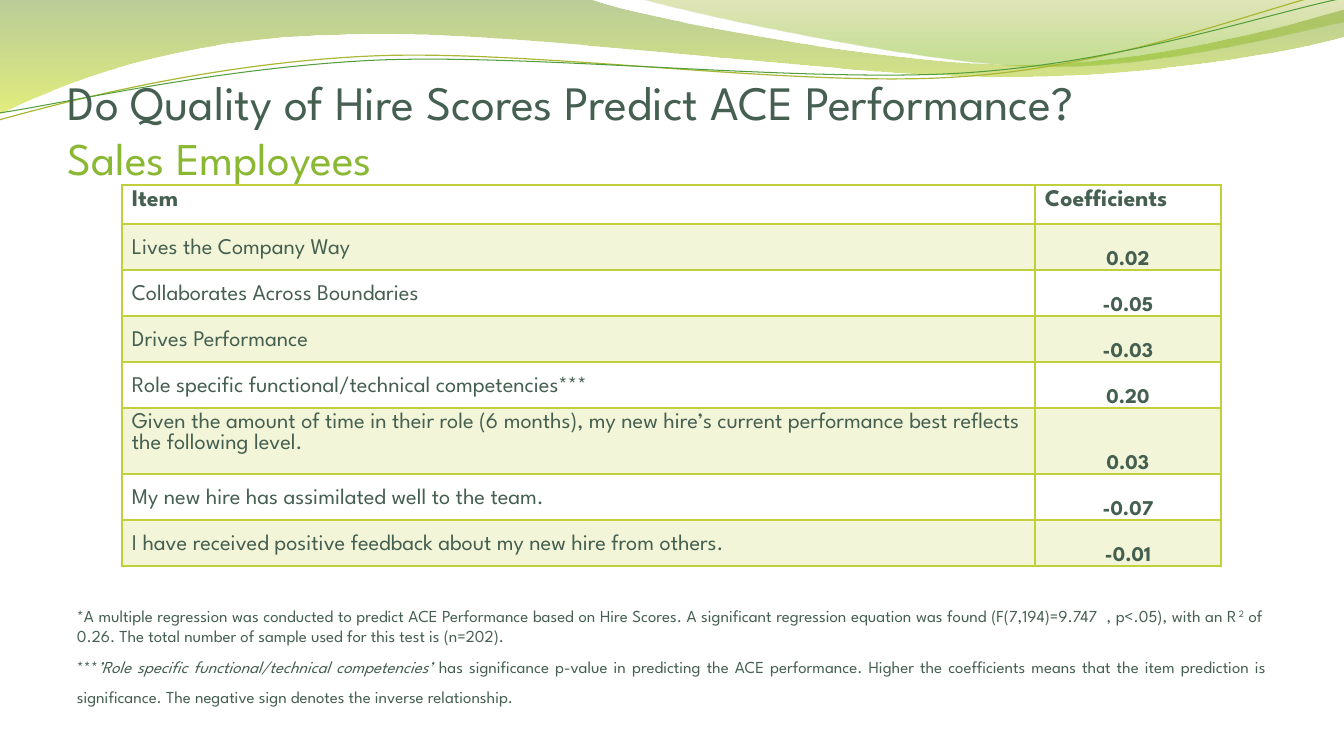
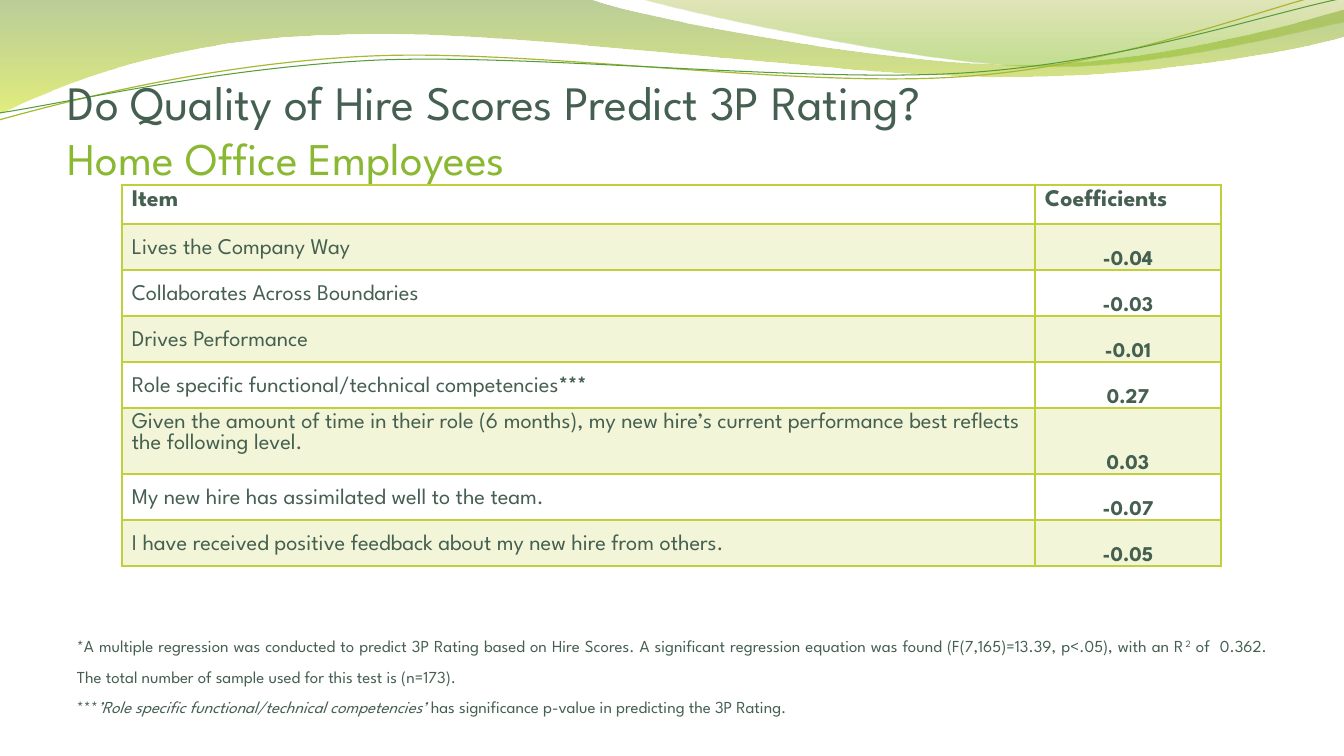
from lxml import etree
from pptx import Presentation
from pptx.dml.color import RGBColor
from pptx.enum.text import MSO_ANCHOR as Anchor, PP_ALIGN as Align
from pptx.oxml.ns import qn
from pptx.util import Emu, Pt

WIDTH, HEIGHT = 1344, 756
SCALE = 12192000 / WIDTH
FONT = "League Spartan"
INK, ACCENT, LIME = "455F51", "8AB833", "C0CF3A"

# Waves: start point, then steps of one point (line) or three points (curve).
BANDS = [
    {"start": (0, 0),
     "steps": [[(592, 0)],
               [(639, 18), (891, 65), (1019, 65)],
               [(1146, 65), (1287, 27), (1344, 10)],
               [(1345, 37)],
               [(1321, 45), (1168, 78), (1002, 77)],
               [(836, 77), (513, 29), (346, 35)],
               [(173, 37), (61, 85), (-2, 115)]],
     "stops": [(0, "69921C", 45), (1, "CCE10F", 55)]},
    {"start": (643, 0),
     "steps": [[(684, 12), (916, 63), (1033, 66)],
               [(1149, 70), (1292, 33), (1344, 22)],
               [(1344, 0)]],
     "stops": [(0, "9BAA1A", 30), (0.8, "81BA16", 45)]},
]
STRANDS = [
    {"start": (-1, 120),
     "steps": [[(64, 102), (212, 63), (372, 56)],
               [(531, 49), (795, 88), (957, 77)],
               [(1119, 67), (1261, 8), (1341, -10)]],
     "line": ("A9B733", 0.85)},
    {"start": (-1, 113),
     "steps": [[(62, 104), (220, 67), (380, 60)],
               [(541, 54), (802, 83), (963, 73)],
               [(1123, 63), (1265, 14), (1344, -2)]],
     "line": ("549E39", 0.75)},
]

HEADER = ("Item", "Coefficients")
STARS = "***"
LONG_ITEM = ("Given the amount of time in their role (6 months), my new hire’s "
             "current performance best reflects the following level.")
ITEMS = [
    "Lives the Company Way",
    "Collaborates Across Boundaries",
    "Drives Performance",
    "Role specific functional/technical competencies" + STARS,
    LONG_ITEM,
    "My new hire has assimilated well to the team.",
    "I have received positive feedback about my new hire from others.",
]
ROLE_NOTE = [(STARS, {}),
             ("’Role specific functional/technical competencies’ ", {"italic": True})]
SUPER = {"superscript": True}
SINGLE, WIDE = 1.0, 1.5

SLIDES = [
    {"title": "Do Quality of Hire Scores Predict ACE Performance?",
     "group": "Sales Employees",
     "values": ["0.02", "-0.05", "-0.03", "0.20", "0.03", "-0.07", "-0.01"],
     "bold_stars": False,
     "notes_top": 601,
     "notes": [
         (SINGLE, [("*A multiple regression was conducted to predict ACE Performance "
                    "based on Hire Scores. A significant regression equation was found "
                    "(F(7,194)=9.747  , p<.05), with an R", {}),
                   ("2", SUPER),
                   (" of  0.26. The total number of sample used for this test is "
                    "(n=202).", {})]),
         (WIDE, ROLE_NOTE + [
             ("has significance p-value in predicting the ACE performance. Higher the "
              "coefficients means that the item prediction is significance. The "
              "negative sign denotes the inverse relationship.", {})])]},
    {"title": "Do Quality of Hire Scores Predict 3P Rating?",
     "group": "Home Office Employees",
     "values": ["-0.04", "-0.03", "-0.01", "0.27", "0.03", "-0.07", "-0.05"],
     "bold_stars": True,
     "notes_top": 621,
     "notes": [
         (WIDE, [("*A multiple regression was conducted to predict 3P Rating based on "
                  "Hire Scores. A significant regression equation was found "
                  "(F(7,165)=13.39, p<.05), with an R", {}),
                 ("2", SUPER),
                 (" of  0.362. The total number of sample used for this test is "
                  "(n=173).", {})]),
         (WIDE, ROLE_NOTE + [
             ("has significance p-value in predicting the 3P Rating.", {})])]},
]

TITLE_BOX = (68, 58, 1210, 127)
TABLE_LEFT, TABLE_TOP = 122, 185
COLUMNS = (913, 186)
ROWS = [39] + [66 if item == LONG_ITEM else 46 for item in ITEMS]
NOTES_LEFT, NOTES_WIDTH = 67, 1210
HEADER_MARGINS, ITEM_MARGINS, VALUE_MARGINS = (10, 5, 10, 5), (10, 5, 10, 0), (1, 1, 1, 0)


def px(length):
    """Turn pixels into EMU."""
    return Emu(round(length * SCALE))


def rgb(code):
    """Turn a hex string into a colour."""
    return RGBColor.from_string(code)


def set_alpha(color_parent, percents):
    """Set the opacity of each colour found below an element, in order."""
    for color, percent in zip(color_parent.iter(qn("a:srgbClr")), percents):
        etree.SubElement(color, qn("a:alpha"), val=str(percent * 1000))


def set_margins(target, margins):
    """Set left, top, right and bottom insets of a cell or text frame."""
    for side, size in zip(("left", "top", "right", "bottom"), margins):
        setattr(target, f"margin_{side}", px(size))


def add_span(para, text, size, color=INK, superscript=False, **style):
    """Append a formatted run to a paragraph."""
    span = para.add_run()
    span.text = text
    for name, value in {"name": FONT, "size": Pt(size), **style}.items():
        setattr(span.font, name, value)
    span.font.color.rgb = rgb(color)
    if superscript:
        span.font._element.set("baseline", "30000")


def add_frame(page, left, top, width, height):
    """Add a wrapping text box and return its text frame."""
    frame = page.shapes.add_textbox(*map(px, (left, top, width, height))).text_frame
    frame.word_wrap = True
    return frame


def bend(wave, steps):
    """Join the line segments of each three-point step into one cubic curve."""
    segments = iter(list(wave._element.spPr.iter(qn("a:lnTo"))))
    for step in steps:
        group = [next(segments) for _ in step]
        if len(group) == 3:
            curve = etree.Element(qn("a:cubicBezTo"))
            group[0].addprevious(curve)
            for segment in group:
                curve.append(segment[0])
                segment.getparent().remove(segment)


def add_wave(page, start, steps, stops=None, line=None):
    """Draw a gradient band or a thin strand."""
    first, *rest = [(px(x), px(y)) for x, y in [start, *sum(steps, [])]]
    builder = page.shapes.build_freeform(*first)
    builder.add_line_segments(rest, close=stops is not None)
    wave = builder.convert_to_shape()
    bend(wave, steps)
    wave.shadow.inherit = False
    if stops:
        wave.line.fill.background()
        wave.fill.gradient()
        wave.fill.gradient_angle = 270
        for stop, (position, color, _) in zip(wave.fill.gradient_stops, stops):
            stop.position = position
            stop.color.rgb = rgb(color)
        set_alpha(wave._element.spPr, [opacity for *_, opacity in stops])
    else:
        wave.fill.background()
        wave.line.color.rgb = rgb(line[0])
        wave.line.width = Pt(line[1])


def add_title(page, title, group):
    """Write the title with the employee group on its second line."""
    frame = add_frame(page, *TITLE_BOX)
    frame.vertical_anchor = Anchor.BOTTOM
    set_margins(frame, (0, 5, 0, 0))
    para = frame.paragraphs[0]
    add_span(para, title, 34.2)
    para.add_line_break()
    add_span(para, group, 32.4, ACCENT)


def style_cell(cell, row):
    """Fill and border one cell by its row."""
    if row % 2:
        cell.fill.solid()
        cell.fill.fore_color.rgb = rgb(LIME)
        set_alpha(cell._tc.tcPr, [20])
    else:
        cell.fill.background()
    widths = {"L": 1, "R": 1, "T": 2 if row == 1 else 1, "B": 2 if row == 0 else 1}
    for order, (side, width) in enumerate(widths.items()):
        border = etree.Element(qn(f"a:ln{side}"), w=str(Pt(width)))
        solid = etree.SubElement(border, qn("a:solidFill"))
        etree.SubElement(solid, qn("a:srgbClr"), val=LIME)
        cell._tc.tcPr.insert(order, border)


def add_coefficients(page, values, bold_stars):
    """Build the table of items and coefficients."""
    table = page.shapes.add_table(len(ROWS), len(COLUMNS), px(TABLE_LEFT), px(TABLE_TOP),
                                  px(sum(COLUMNS)), px(sum(ROWS))).table
    table.first_row = table.horz_banding = False
    for column, width in zip(table.columns, COLUMNS):
        column.width = px(width)
    for row, texts in enumerate([HEADER, *zip(ITEMS, values)]):
        table.rows[row].height = px(ROWS[row])
        for column, text in enumerate(texts):
            cell = table.cell(row, column)
            para = cell.text_frame.paragraphs[0]
            if row == 0:
                set_margins(cell, HEADER_MARGINS)
                add_span(para, text, 17, bold=True)
            elif column == 1:
                set_margins(cell, VALUE_MARGINS)
                cell.vertical_anchor = Anchor.BOTTOM
                para.alignment = Align.CENTER
                add_span(para, text, 15, bold=True)
            else:
                set_margins(cell, ITEM_MARGINS)
                if text != LONG_ITEM:
                    para.line_spacing = WIDE
                label, stars, _ = text.partition(STARS)
                if bold_stars and stars:
                    add_span(para, label, 16, bold=False)
                    add_span(para, stars, 16, bold=True)
                else:
                    add_span(para, text, 16, bold=False)
            style_cell(cell, row)


def add_notes(page, top, notes):
    """Write the justified notes below the table."""
    frame = add_frame(page, NOTES_LEFT, top, NOTES_WIDTH, HEIGHT - top)
    for index, (spacing, spans) in enumerate(notes):
        para = frame.add_paragraph() if index else frame.paragraphs[0]
        para.alignment = Align.JUSTIFY
        para.line_spacing = spacing
        for text, style in spans:
            add_span(para, text, 12, **style)


deck = Presentation()
deck.slide_width, deck.slide_height = px(WIDTH), px(HEIGHT)
for content in SLIDES:
    page = deck.slides.add_slide(deck.slide_layouts[6])
    for wave in BANDS + STRANDS:
        add_wave(page, **wave)
    add_title(page, content["title"], content["group"])
    add_coefficients(page, content["values"], content["bold_stars"])
    add_notes(page, content["notes_top"], content["notes"])
deck.save("out.pptx")
